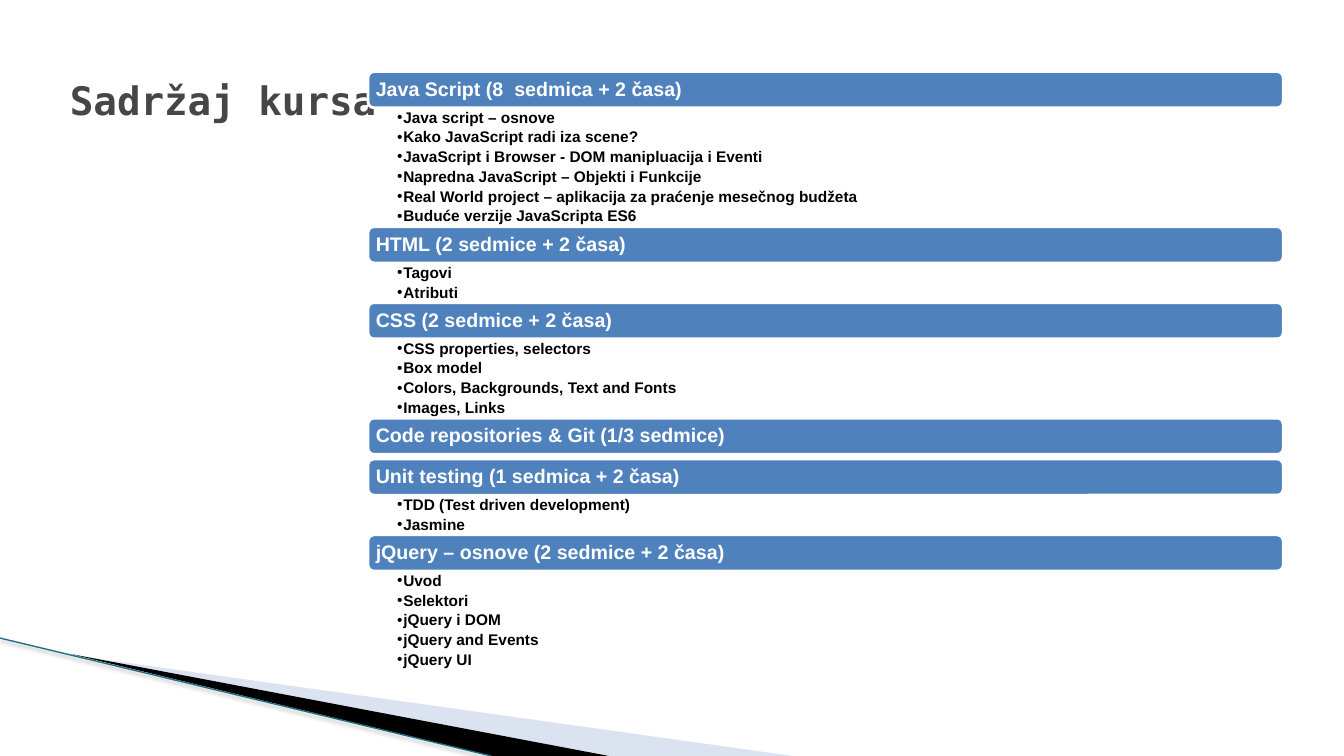
from lxml import etree
from pptx import Presentation
from pptx.dml.color import RGBColor
from pptx.enum.shapes import MSO_CONNECTOR, MSO_SHAPE
from pptx.enum.text import MSO_ANCHOR, MSO_AUTO_SIZE, PP_ALIGN
from pptx.oxml import parse_xml
from pptx.oxml.ns import nsdecls, qn
from pptx.util import Inches, Pt

STRAIGHT = MSO_CONNECTOR.STRAIGHT
ROUNDED = MSO_SHAPE.ROUNDED_RECTANGLE
MIDDLE = MSO_ANCHOR.MIDDLE
TOP = MSO_ANCHOR.TOP
NO_AUTOFIT = MSO_AUTO_SIZE.NONE
LEFT = PP_ALIGN.LEFT

WHITE = RGBColor(0xFF, 0xFF, 0xFF)
BLACK = RGBColor(0x00, 0x00, 0x00)
GRAY = RGBColor(0x46, 0x46, 0x46)
BLUE = RGBColor(0x4F, 0x81, 0xBD)
PALE_BLUE = RGBColor(0xDB, 0xE2, 0xF0)
TEAL = RGBColor(0x19, 0x6F, 0x85)

SLIDE_WIDTH = Inches(13.33)
SLIDE_HEIGHT = Inches(7.5)
COLUMN = SLIDE_WIDTH / 100
ROW = SLIDE_HEIGHT / 100

BAR_LEFT = round(27.38 * COLUMN)
BAR_WIDTH = round(68.1 * COLUMN)
BAR_HEIGHT = round(4.8 * ROW)
BULLET_HEIGHT = round(2.62 * ROW)
EMPTY_SECTION_GAP = round(0.6 * ROW)
BULLET_INDENT = Inches(0.06)

SECTIONS = [
    ("Java Script (8  sedmica + 2 časa)", [
        "Java script – osnove",
        "Kako JavaScript radi iza scene?",
        "JavaScript i Browser - DOM manipluacija i Eventi",
        "Napredna JavaScript – Objekti i Funkcije",
        "Real World project – aplikacija za praćenje mesečnog budžeta",
        "Buduće verzije JavaScripta ES6",
    ]),
    ("HTML (2 sedmice + 2 časa)", ["Tagovi", "Atributi"]),
    ("CSS (2 sedmice + 2 časa)", [
        "CSS properties, selectors",
        "Box model",
        "Colors, Backgrounds, Text and Fonts",
        "Images, Links",
    ]),
    ("Code repositories & Git (1/3 sedmice)", []),
    ("Unit testing (1 sedmica + 2 časa)", ["TDD (Test driven development)", "Jasmine"]),
    ("jQuery – osnove (2 sedmice + 2 časa)", [
        "Uvod",
        "Selektori",
        "jQuery i DOM",
        "jQuery and Events",
        "jQuery UI",
    ]),
]

WEDGES = [
    (PALE_BLUE, [(5.48, 86.7), (59, 100), (45.2, 100)]),
    (BLACK, [(5.32, 86.53), (45.3, 100), (36.6, 100)]),
]


def write_text(paragraph, text, size, color, font="Arial", line_spacing=0.9, space_after=0, bullet=False):
    paragraph.alignment = LEFT
    paragraph.line_spacing = line_spacing
    paragraph.space_after = Pt(space_after)
    if bullet:
        properties = paragraph._p.get_or_add_pPr()
        properties.set("marL", str(BULLET_INDENT))
        properties.set("indent", str(-BULLET_INDENT))
        etree.SubElement(properties, qn("a:buFont")).set("typeface", font)
        etree.SubElement(properties, qn("a:buChar")).set("char", "•")
    run = paragraph.add_run()
    run.text = text
    run.font.name = font
    run.font.size = Pt(size)
    run.font.bold = True
    run.font.color.rgb = color


def format_frame(frame, left, right, vertical, anchor):
    frame.word_wrap = True
    frame.auto_size = NO_AUTOFIT
    frame.margin_left, frame.margin_right = Inches(left), Inches(right)
    frame.margin_top = frame.margin_bottom = Inches(vertical)
    frame.vertical_anchor = anchor


presentation = Presentation()
presentation.slide_width = SLIDE_WIDTH
presentation.slide_height = SLIDE_HEIGHT
slide = presentation.slides.add_slide(presentation.slide_layouts[5])

for color, points in WEDGES:
    corners = [(round(x * COLUMN), round(y * ROW)) for x, y in points]
    builder = slide.shapes.build_freeform(*corners[0])
    builder.add_line_segments(corners[1:], close=True)
    wedge = builder.convert_to_shape()
    wedge.shadow.inherit = False
    wedge.fill.solid()
    wedge.fill.fore_color.rgb = color
    wedge.line.fill.background()

edge = slide.shapes.add_connector(
    STRAIGHT, 0, round(84.4 * ROW), round(36.55 * COLUMN), SLIDE_HEIGHT)
edge.line.color.rgb = TEAL
edge.line.width = Pt(0.96)
edge._element.spPr.append(parse_xml(
    f'<a:effectLst {nsdecls("a")}>'
    f'<a:outerShdw blurRad="{Pt(3.1)}" dist="{Pt(1.6)}" dir="5400000" rotWithShape="0">'
    '<a:srgbClr val="000000"><a:alpha val="38000"/></a:srgbClr>'
    '</a:outerShdw></a:effectLst>'))

title = slide.shapes.title
title.left, title.top = round(4.45 * COLUMN), round(3.6 * ROW)
title.width, title.height = round(85.6 * COLUMN), round(19.33 * ROW)
format_frame(title.text_frame, 0.1, 0.1, 0.05, MIDDLE)
write_text(title.text_frame.paragraphs[0], "Sadržaj kursa", 28, GRAY,
           font="DejaVu Sans Mono", line_spacing=1.0)

top = round(9.47 * ROW)
for heading, topics in SECTIONS:
    bar = slide.shapes.add_shape(ROUNDED, BAR_LEFT, top, BAR_WIDTH, BAR_HEIGHT)
    bar.shadow.inherit = False
    bar.fill.solid()
    bar.fill.fore_color.rgb = BLUE
    bar.line.color.rgb = WHITE
    bar.line.width = Pt(2)
    format_frame(bar.text_frame, 0.06, 0.06, 0, MIDDLE)
    write_text(bar.text_frame.paragraphs[0], heading, 14, WHITE)
    top += BAR_HEIGHT

    if not topics:
        top += EMPTY_SECTION_GAP
        continue

    list_height = len(topics) * BULLET_HEIGHT
    topic_list = slide.shapes.add_textbox(BAR_LEFT, top, BAR_WIDTH, list_height)
    frame = topic_list.text_frame
    format_frame(frame, 0.29, 0.11, 0.02, TOP)
    for index, topic in enumerate(topics):
        paragraph = frame.add_paragraph() if index else frame.paragraphs[0]
        write_text(paragraph, topic, 11, BLACK, space_after=2.2, bullet=True)
    top += list_height

presentation.save("out.pptx")
